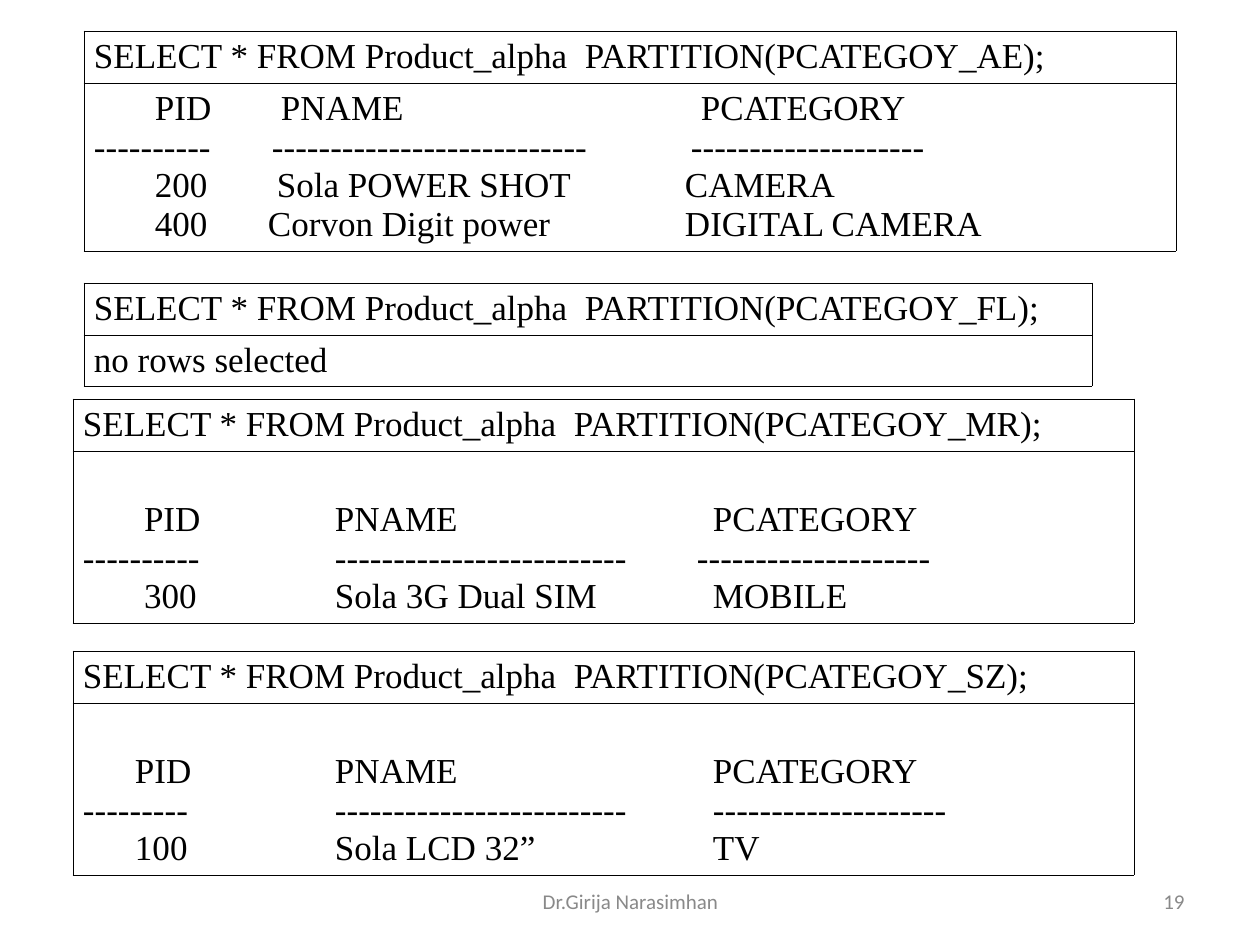
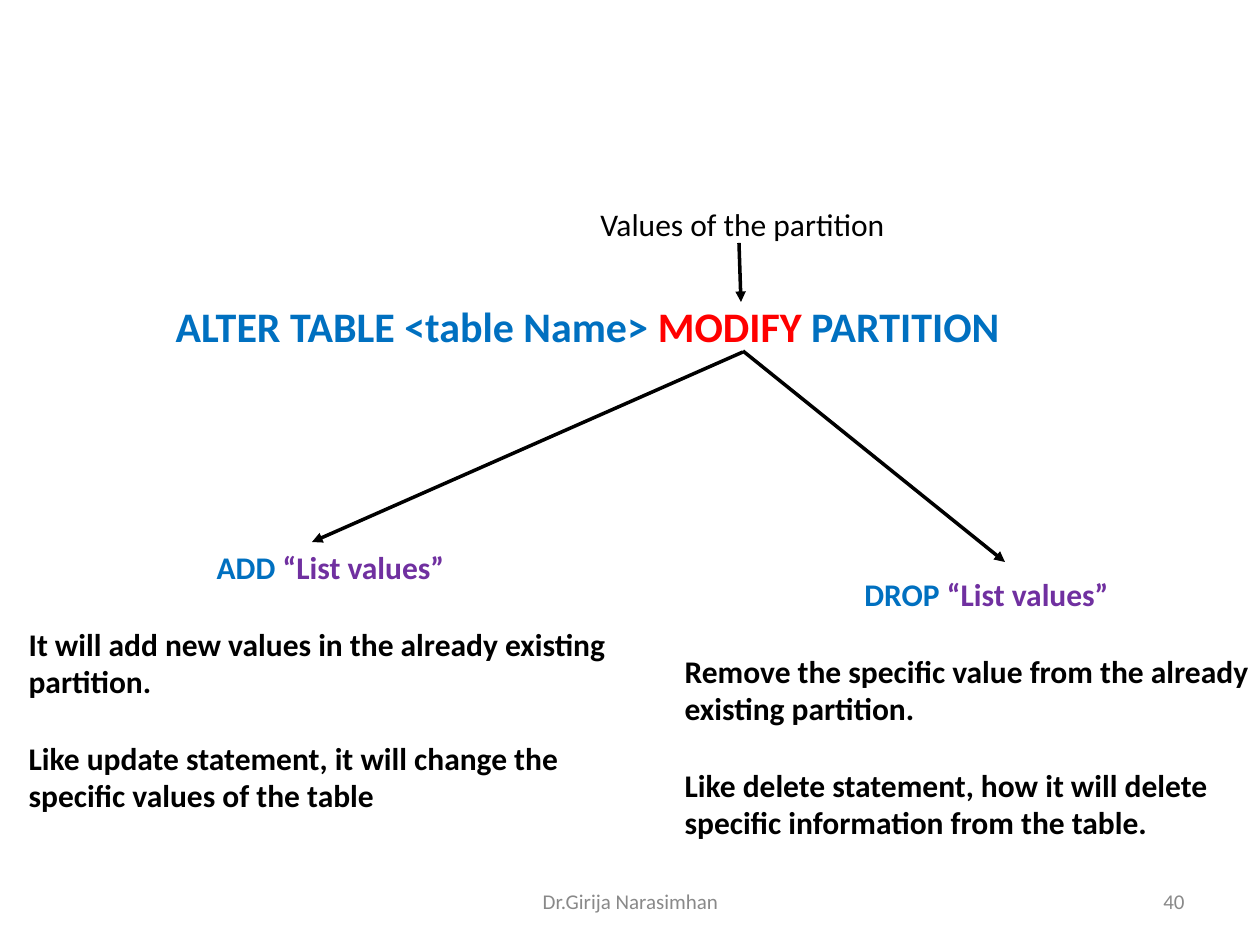
from pptx import Presentation, util as u
from pptx.dml.color import RGBColor
from pptx.enum import shapes, text
from pptx.oxml import parse_xml
from pptx.oxml.ns import nsdecls

BLACK = RGBColor(0x00, 0x00, 0x00)
GREY = RGBColor(0x89, 0x89, 0x89)
BLUE = RGBColor(0x00, 0x70, 0xC0)
RED = RGBColor(0xFF, 0x00, 0x00)
PLUM = RGBColor(0x70, 0x30, 0xA0)
SANS, SERIF = "Calibri", "Times New Roman"
LEFT, MID, RIGHT = text.PP_ALIGN.LEFT, text.PP_ALIGN.CENTER, text.PP_ALIGN.RIGHT
TOP, CENTER = text.MSO_ANCHOR.TOP, text.MSO_ANCHOR.MIDDLE
HEAD, LINE, GAP = 52, 39, 43


def px(n):
    """Turn pixels into EMU."""
    return u.Emu(round(n * 914400 / 126))


def xml(tag, body="", attrs=""):
    """Make one drawing element."""
    return parse_xml(f"<a:{tag} {nsdecls('a')} {attrs}>{body}</a:{tag}>")


def write(para, runs, size, font=SANS, bold=False, align=LEFT):
    """Add (words, colour) runs to a paragraph."""
    para.alignment = align
    for words, color in runs:
        run = para.add_run()
        run.text = words
        run.font.size = u.Pt(size)
        run.font.name = font
        run.font.bold = bold
        run.font.color.rgb = color


def frame(shape, anchor=TOP):
    """Give a shape's text the shared insets and wrapping."""
    body = shape.text_frame
    body.word_wrap = True
    body.auto_size = text.MSO_AUTO_SIZE.NONE
    body.vertical_anchor = anchor
    body.margin_left = body.margin_right = u.Inches(0.1)
    body.margin_top = body.margin_bottom = u.Inches(0.05)
    return body


def place(shape, box):
    """Move a shape to a pixel box."""
    shape.left, shape.top, shape.width, shape.height = map(px, box)


def label(slide, box, words, size, color, align=LEFT, anchor=TOP):
    """Add a text box of one line."""
    shape = slide.shapes.add_textbox(*map(px, box))
    write(frame(shape, anchor).paragraphs[0], [(words, color)], size, align=align)


def footer(slide, number):
    """Add the author and the page number."""
    label(slide, (431, 876, 399, 50), "Dr.Girija Narasimhan", 12, GREY, MID, CENTER)
    label(slide, (903, 876, 294, 50), number, 12, GREY, RIGHT, CENTER)


def style(cell, top=6):
    """Clear a cell's fill and draw its thin border."""
    props = cell._tc.get_or_add_tcPr()
    for side in "LRTB":
        fill = f'<a:solidFill><a:srgbClr val="{BLACK}"/></a:solidFill>'
        props.append(xml(f"ln{side}", fill, 'w="5715"'))
    cell.fill.background()
    cell.margin_left = cell.margin_right = px(10)
    cell.margin_top, cell.margin_bottom = px(top), px(6)


def row(para, items):
    """Write (offset, words) items, each at its own tab stop."""
    stops = [x for x, _ in items if x]
    if stops:
        tabs = "".join(f'<a:tab pos="{px(x)}" algn="l"/>' for x in stops)
        para._p.get_or_add_pPr().append(xml("tabLst", tabs))
    line = "".join(("\t" if x else "") + words for x, words in items)
    write(para, [(line, BLACK)], 20, SERIF)


def query(slide, spot, width, part, rows, gap=0):
    """Draw a query and its result as a table of two rows."""
    body = len(rows) * LINE + 12 + gap
    box = (*spot, width, HEAD + body)
    table = slide.shapes.add_table(2, 1, *map(px, box)).table
    table.first_row = table.horz_banding = False
    table.rows[0].height, table.rows[1].height = px(HEAD), px(body)
    head, result = table.cell(0, 0), table.cell(1, 0)
    style(head)
    style(result, 6 + gap)
    sql = f"SELECT * FROM Product_alpha  PARTITION(PCATEGOY_{part});"
    row(head.text_frame.paragraphs[0], [(0, sql)])
    for i, items in enumerate(rows):
        paras = result.text_frame
        row(paras.add_paragraph() if i else paras.paragraphs[0], items)


def results(deck):
    """Build the slide of partition queries."""
    slide = deck.slides.add_slide(deck.slide_layouts[6])
    footer(slide, "19")
    query(slide, (84, 31), 1092, "AE", [
        [(61, "PID"), (187, "PNAME"), (607, "PCATEGORY")],
        [(0, "-" * 10), (178, "-" * 27), (597, "-" * 20)],
        [(61, "200"), (183, "Sola POWER SHOT"), (591, "CAMERA")],
        [(61, "400"), (174, "Corvon Digit power"), (591, "DIGITAL CAMERA")]])
    query(slide, (84, 283), 1008, "FL", [[(0, "no rows selected")]])
    query(slide, (73, 399), 1061, "MR", [
        [(61, "PID"), (252, "PNAME"), (630, "PCATEGORY")],
        [(0, "-" * 10), (252, "-" * 25), (614, "-" * 20)],
        [(61, "300"), (252, "Sola 3G Dual SIM"), (630, "MOBILE")]], GAP)
    query(slide, (73, 651), 1061, "SZ", [
        [(52, "PID"), (252, "PNAME"), (630, "PCATEGORY")],
        [(0, "-" * 9), (252, "-" * 25), (630, "-" * 20)],
        [(52, "100"), (252, "Sola LCD 32”"), (630, "TV")]], GAP)


def arrow(slide, start, end):
    """Draw a black arrow between two pixel points."""
    kind = shapes.MSO_CONNECTOR.STRAIGHT
    line = slide.shapes.add_connector(kind, *map(px, (*start, *end)))
    line.line.color.rgb = BLACK
    line.line.width = u.Pt(2)
    line.line._get_or_add_ln().append(xml("tailEnd", attrs='type="triangle"'))
    line._element.spPr.append(xml("effectLst"))


def option(shape, spot, verb, notes):
    """Fill a body placeholder with a clause and its notes."""
    place(shape, (*spot, 629, 277))
    body = frame(shape)
    for i, words in enumerate([verb, *notes]):
        para = body.add_paragraph() if i else body.paragraphs[0]
        props = para._p.get_or_add_pPr()
        props.set("marL", "0")
        props.set("indent", "0")
        props.append(xml("buNone"))
        para.space_before = u.Pt(22 if i else 0)
        if i:
            write(para, [(words, BLACK)], 18, bold=True)
        else:
            runs = [(words, BLUE), ("“List values”", PLUM)]
            write(para, runs, 18, bold=True, align=MID)


def modify(deck):
    """Build the slide on changing a partition's values."""
    slide = deck.slides.add_slide(deck.slide_layouts[3])
    footer(slide, "40")
    title, add, drop = slide.placeholders
    place(title, (73, 294, 1029, 63))
    runs = [("ALTER TABLE <table Name> ", BLUE), ("MODIFY", RED), (" PARTITION", BLUE)]
    write(frame(title).paragraphs[0], runs, 24, bold=True, align=MID)
    option(add, (16, 542), "ADD ", [
        "It will add new values in the already existing partition.",
        "Like update statement, it will change the specific values of the table"])
    option(drop, (672, 569), "DROP ", [
        "Remove the specific value from the already existing partition.",
        "Like delete statement, how it will delete specific information from the table."])
    arrow(slide, (743, 352), (312, 542))
    arrow(slide, (743, 351), (1005, 562))
    arrow(slide, (739, 243), (741, 302))
    label(slide, (588, 199, 588, 50), "Values of the partition", 18, BLACK)


def main():
    """Build and save the deck."""
    deck = Presentation()
    deck.slide_width, deck.slide_height = px(1260), px(945)
    results(deck)
    modify(deck)
    deck.save("out.pptx")


if __name__ == "__main__":
    main()
